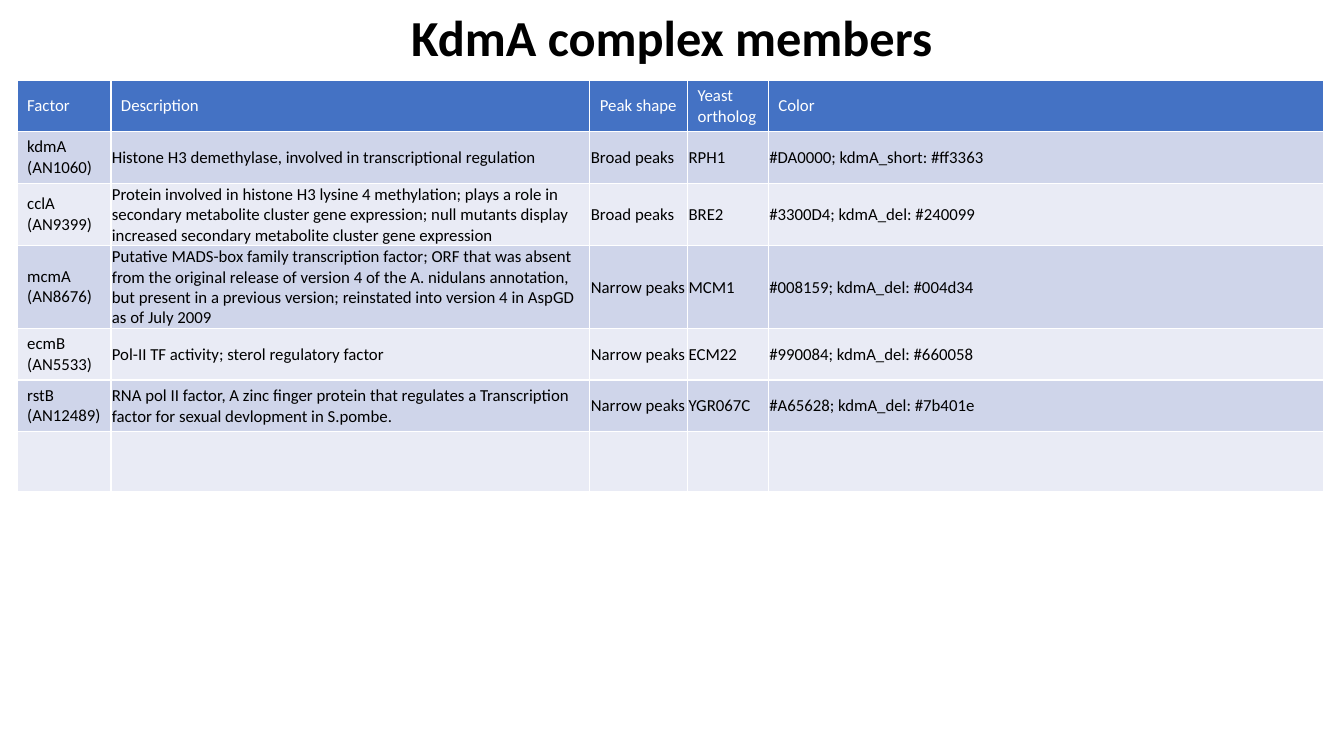
from pptx import Presentation
from pptx import util as u
from pptx.dml.color import RGBColor
from pptx.enum import text

COLORS = {"header": "4472C4", "odd": "CFD5EA", "even": "E9EBF5", "white": "FFFFFF", "black": "000000"}
WIDTH, HEIGHT = u.Inches(13.33), u.Inches(7.5)
COLUMNS = [0.93, 4.75, 0.97, 0.8, 5.51]
ROWS = [0.5, 0.51, 0.62, 0.82, 0.51, 0.51, 0.6]
FACTORS = [
    ["Factor", "Description", "Peak shape", "Yeast ortholog", "Color"],
    ["kdmA (AN1060)", "Histone H3 demethylase, involved in transcriptional regulation",
     "Broad peaks", "RPH1", "#DA0000; kdmA_short: #ff3363"],
    ["cclA (AN9399)", "Protein involved in histone H3 lysine 4 methylation; plays a role in secondary "
     "metabolite cluster gene expression; null mutants display increased secondary metabolite "
     "cluster gene expression", "Broad peaks", "BRE2", "#3300D4; kdmA_del: #240099"],
    ["mcmA (AN8676)", "Putative MADS-box family transcription factor; ORF that was absent from the "
     "original release of version 4 of the A. nidulans annotation, but present in a previous version; "
     "reinstated into version 4 in AspGD as of July 2009",
     "Narrow peaks", "MCM1", "#008159; kdmA_del: #004d34"],
    ["ecmB (AN5533)", "Pol-II TF activity; sterol regulatory factor",
     "Narrow peaks", "ECM22", "#990084; kdmA_del: #660058"],
    ["rstB (AN12489)", "RNA pol II factor, A zinc finger protein that regulates a Transcription factor "
     "for sexual devlopment in S.pombe.", "Narrow peaks", "YGR067C", "#A65628; kdmA_del: #7b401e"],
    [""] * 5,
]


def rgb(name):
    return RGBColor.from_string(COLORS[name])


def write(tf, content, size=12, color="black", bold=False, align=text.PP_ALIGN.LEFT):
    p = tf.paragraphs[0]
    p.alignment = align
    p.font.size = u.Pt(size)
    if content:
        r = p.add_run()
        r.text = content
        r.font.name = "Calibri"
        r.font.size = u.Pt(size)
        r.font.bold = bold
        r.font.color.rgb = rgb(color)


def add_title(s, content):
    sp = s.shapes.title
    sp.left, sp.top = int(WIDTH * 0.295), 0
    sp.width, sp.height = int(WIDTH * 0.41), int(HEIGHT * 0.095)
    tf = sp.text_frame
    tf.word_wrap = False
    tf.vertical_anchor = text.MSO_ANCHOR.MIDDLE
    write(tf, content, size=36, bold=True, align=text.PP_ALIGN.CENTER)


def fill_cell(cell, content, row, column):
    cell.fill.solid()
    cell.fill.fore_color.rgb = rgb("header" if row == 0 else "odd" if row % 2 else "even")
    cell.vertical_anchor = text.MSO_ANCHOR.MIDDLE
    if row and column and content:
        cell.margin_left = cell.margin_right = cell.margin_top = u.Inches(0.01)
        cell.margin_bottom = 0
    write(cell.text_frame, content, color="white" if row == 0 else "black")


def add_factor_table(s):
    frame = s.shapes.add_table(len(ROWS), len(COLUMNS), u.Inches(0.17), u.Inches(0.8),
                               u.Inches(sum(COLUMNS)), u.Inches(sum(ROWS)))
    table = frame.table
    for column, width in zip(table.columns, COLUMNS):
        column.width = u.Inches(width)
    for i, (height, values) in enumerate(zip(ROWS, FACTORS)):
        table.rows[i].height = u.Inches(height)
        for j, value in enumerate(values):
            fill_cell(table.cell(i, j), value, i, j)


def main():
    prs = Presentation()
    prs.slide_width, prs.slide_height = WIDTH, HEIGHT
    s = prs.slides.add_slide(prs.slide_layouts[5])
    add_factor_table(s)
    add_title(s, "KdmA complex members")
    prs.save("out.pptx")


if __name__ == "__main__":
    main()
